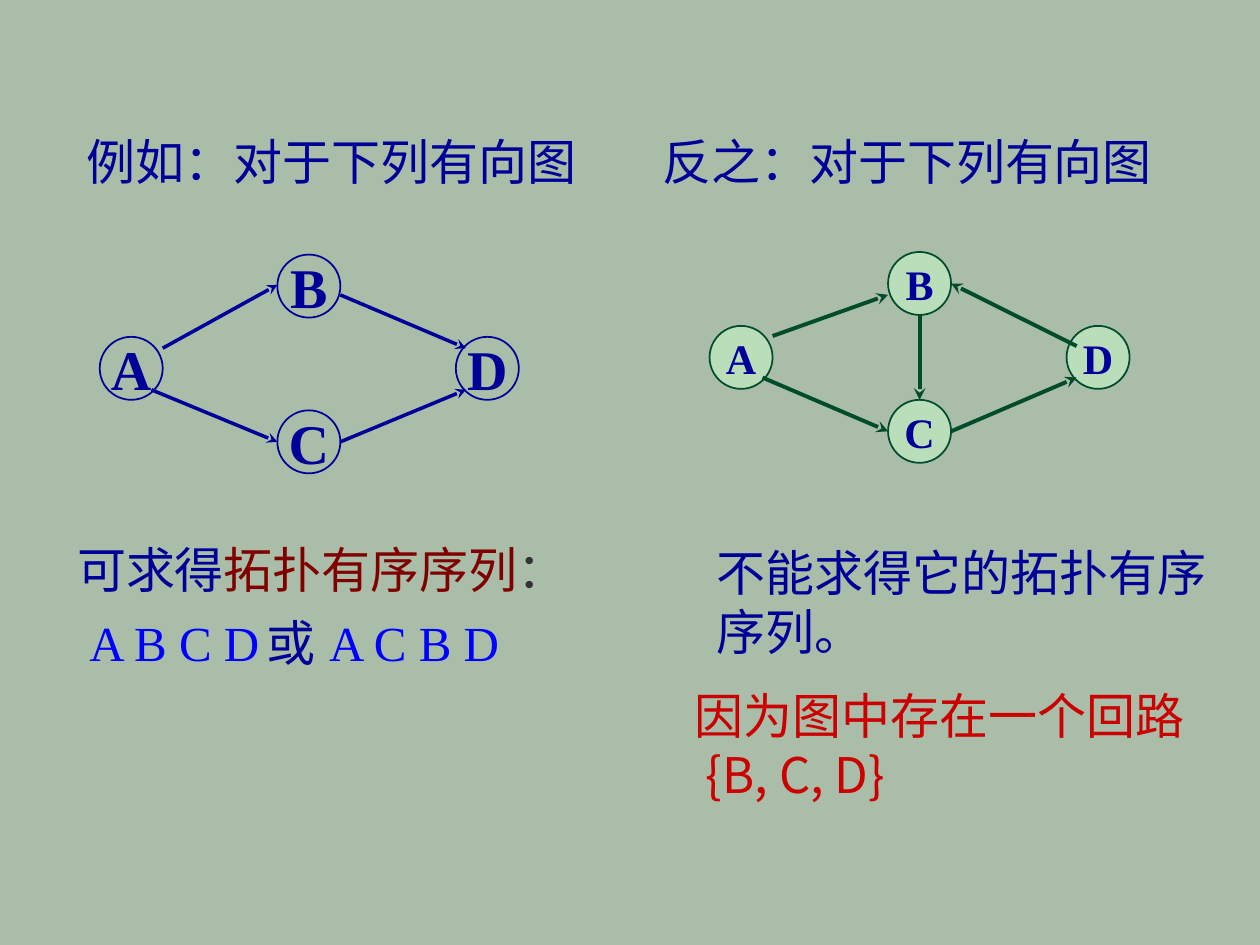
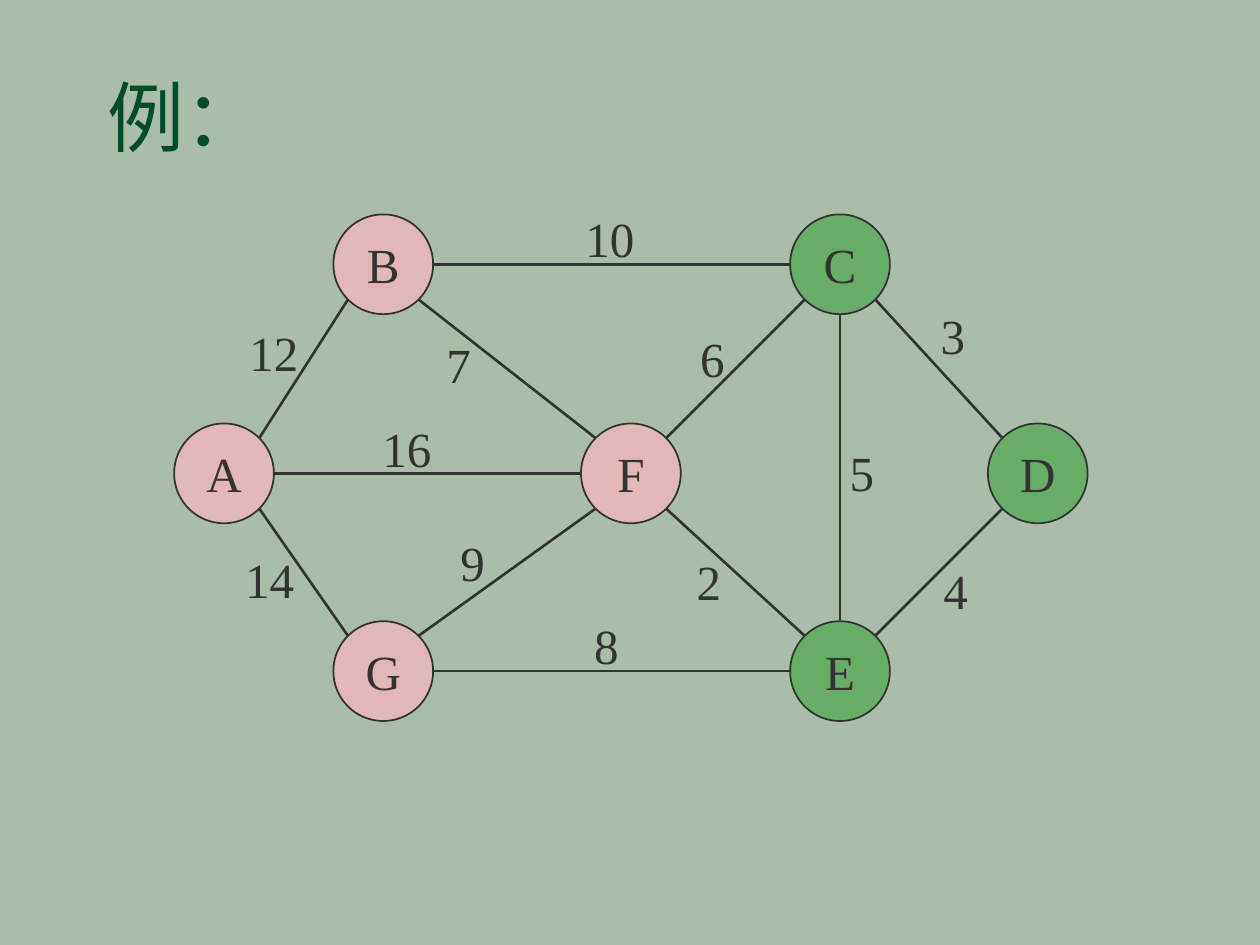
import pptx
import pptx.dml.color
import pptx.enum.shapes
import pptx.enum.text
import pptx.oxml
import pptx.oxml.ns
import pptx.util

Pt = pptx.util.Pt
RGBColor = pptx.dml.color.RGBColor
Align = pptx.enum.text.PP_ALIGN
Anchor = pptx.enum.text.MSO_ANCHOR
qn = pptx.oxml.ns.qn

# Shared look
SAGE = RGBColor(0xA9, 0xBD, 0xA9)
NAVY = RGBColor(0x00, 0x00, 0x99)
BLUE = RGBColor(0x00, 0x00, 0xFF)
MAROON = RGBColor(0x80, 0x00, 0x00)
RED = RGBColor(0xCC, 0x00, 0x00)
CHARCOAL = RGBColor(0x33, 0x33, 0x33)
FOREST = RGBColor(0x00, 0x4C, 0x2B)
MINT = RGBColor(0xCC, 0xFF, 0xCC)
PINK = RGBColor(0xE1, 0xB7, 0xB7)
GREEN = RGBColor(0x67, 0xAC, 0x67)
SERIF = "Times New Roman"
SANS = "Noto Sans CJK SC"


def add_xml(parent, tag, **attributes):
    child = parent.makeelement(qn(tag), attributes)
    parent.append(child)
    return child


def style_run(run, size, color, font=SERIF, bold=False):
    run.font.size = Pt(size)
    run.font.color.rgb = color
    run.font.bold = bold
    run.font.name = font
    add_xml(run._r.get_or_add_rPr(), "a:ea", typeface=SANS)


def add_text(slide, left, top, width, height, lines, wrap=False, font=SERIF,
             align=Align.LEFT, space_before=0, indent=0, tabs=()):
    """Each line is a list of (text, color); indent and tabs suit the last line."""
    frame = slide.shapes.add_textbox(Pt(left), Pt(top), Pt(width), Pt(height)).text_frame
    frame.word_wrap = wrap
    for number, line in enumerate(lines):
        paragraph = frame.paragraphs[0] if number == 0 else frame.add_paragraph()
        paragraph.alignment = align
        if number:
            paragraph.space_before = Pt(space_before)
            properties = paragraph._p.get_or_add_pPr()
            properties.set("indent", str(Pt(indent)))
            if tabs:
                tab_list = add_xml(properties, "a:tabLst")
                for stop in tabs:
                    add_xml(tab_list, "a:tab", pos=str(Pt(stop)), algn="l")
        for text, color in line:
            run = paragraph.add_run()
            run.text = text
            style_run(run, 28, color, font)


def add_node(slide, name, left, top, size, line_color, fill=None, alpha=None,
             text_size=28, text_color=CHARCOAL, bold=False):
    node = slide.shapes.add_shape(pptx.enum.shapes.MSO_SHAPE.OVAL,
                                  Pt(left), Pt(top), Pt(size), Pt(size))
    node.shadow.inherit = False
    if fill is None:
        node.fill.background()
    else:
        node.fill.solid()
        node.fill.fore_color.rgb = fill
        if alpha:
            add_xml(node._element.spPr.find(".//" + qn("a:srgbClr")), "a:alpha",
                    val=str(alpha * 1000))
    node.line.color.rgb = line_color
    node.line.width = Pt(1)
    frame = node.text_frame
    frame.text = name
    frame.word_wrap = False
    frame.vertical_anchor = Anchor.MIDDLE
    frame.paragraphs[0].alignment = Align.CENTER
    style_run(frame.paragraphs[0].runs[0], text_size, text_color, bold=bold)


def add_edge(slide, start, end, color, width, arrow=False):
    edge = slide.shapes.add_connector(pptx.enum.shapes.MSO_CONNECTOR.STRAIGHT,
                                      *(Pt(value) for value in (*start, *end)))
    edge.line.color.rgb = color
    edge.line.width = Pt(width)
    if arrow:
        add_xml(edge.line._get_or_add_ln(), "a:tailEnd", type="stealth")
    add_xml(edge._element.spPr, "a:effectLst")


# Directed graph: edges join fractional points of the node boxes
def draw_digraph(slide, left, top, nodes, edges, edge_color, edge_width, **node_style):
    size = 36
    for name, (x, y) in nodes.items():
        add_node(slide, name, left + x, top + y, size, edge_color,
                 text_color=NAVY, bold=True, **node_style)

    def point(name, across, down):
        x, y = nodes[name]
        return left + x + across * size, top + y + down * size

    for start, end in edges:
        add_edge(slide, point(*start), point(*end), edge_color, edge_width, arrow=True)


def draw_acyclic_side(slide, left):
    add_text(slide, left + 5.5, 71.5, 294.5, 41, [[("例如：对于下列有向图", NAVY)]])
    draw_digraph(
        slide, left + 20, 145.5,
        {"B": (101.5, 0), "D": (203.5, 47), "A": (0, 47), "C": (101.5, 89)},
        [(("A", 1, 0.18), ("B", 0, 0.48)), (("A", 0.82, 0.84), ("C", 0, 0.5)),
         (("B", 1, 0.64), ("D", 0.16, 0.18)), (("C", 1, 0.5), ("D", 0.16, 0.84))],
        NAVY, 2, text_size=32)
    add_text(slide, left, 304.5, 328, 85,
             [[("可求得", NAVY), ("拓扑有序序列", MAROON), ("：", CHARCOAL)],
              [("A B C D\t", BLUE), ("或\t", NAVY), ("A C B D", BLUE)]],
             wrap=True, space_before=8.4, indent=7, tabs=(138.5, 199))


def draw_cyclic_side(slide, left):
    add_text(slide, left, 71.5, 294.5, 41, [[("反之：对于下列有向图", NAVY)]])
    draw_digraph(
        slide, left + 34, 144,
        {"B": (102, 0), "D": (204, 42.25), "A": (0, 42.25), "C": (102, 84.5)},
        [(("A", 1, 0.16), ("B", 0, 0.68)), (("A", 0.84, 0.82), ("C", 0, 0.5)),
         (("C", 1, 0.5), ("D", 0.16, 0.82)), (("D", 0.16, 0.32), ("B", 1, 0.5)),
         (("B", 0.5, 1), ("C", 0.5, 0))],
        FOREST, 2.25, text_size=24, fill=MINT, alpha=50)
    add_text(slide, left + 31, 306.5, 294.5, 74,
             [[("不能求得它的拓扑有序", NAVY)], [("序列。", NAVY)]])
    add_text(slide, left + 18.5, 388, 294.5, 74,
             [[("因为图中存在一个回路", RED)], [("{B, C, D}", RED)]],
             font=SANS, indent=6.25)


# Weighted graph: edges leave a circle at its sides or its diagonals
def draw_weighted_graph(slide, left, top):
    size = 57
    nodes = {"B": (91, 0, PINK), "C": (352, 0, GREEN), "A": (0, 119.5, PINK),
             "F": (232.5, 119.5, PINK), "D": (465, 119.5, GREEN),
             "G": (91, 232.5, PINK), "E": (352, 232.5, GREEN)}
    # Each weight has the left and top of its label
    weights = [("B", "C", "10", 209.5, -7), ("C", "D", "3", 405.5, 48.5),
               ("C", "E", "5", 353.5, 127), ("D", "E", "4", 407, 194),
               ("F", "E", "2", 266, 189), ("F", "C", "6", 268, 61.5),
               ("F", "B", "7", 123, 65), ("F", "A", "16", 93.5, 113),
               ("B", "A", "12", 17.5, 58.5), ("A", "G", "14", 15, 188),
               ("G", "E", "8", 207.5, 225.5), ("G", "F", "9", 131, 178.5)]
    for name, (x, y, fill) in nodes.items():
        add_node(slide, name, left + x, top + y, size, CHARCOAL, fill)

    def rim(name, other):
        x, y = nodes[name][:2]
        toward_x, toward_y = nodes[other][0] - x, nodes[other][1] - y
        reach = size / 2 * (0.707 if toward_x and toward_y else 1)
        step_x = (toward_x > 0) - (toward_x < 0)
        step_y = (toward_y > 0) - (toward_y < 0)
        return left + x + size / 2 + step_x * reach, top + y + size / 2 + step_y * reach

    for start, end, *_ in weights:
        add_edge(slide, rim(start, end), rim(end, start), CHARCOAL, 1.5)
    for _, _, weight, x, y in weights:
        add_text(slide, left + x, top + y, 79, 41, [[(weight, CHARCOAL)]],
                 wrap=True, align=Align.CENTER)


def draw_title(slide, text):
    title = slide.shapes.title
    title.left, title.top, title.width, title.height = Pt(54), Pt(36), Pt(612), Pt(35.5)
    frame = title.text_frame
    frame.text = text
    frame.vertical_anchor = Anchor.TOP
    frame.auto_size = pptx.enum.text.MSO_AUTO_SIZE.NONE
    frame.paragraphs[0].alignment = Align.LEFT
    style_run(frame.paragraphs[0].runs[0], 44, FOREST)


def main():
    deck = pptx.Presentation()
    deck.slide_width, deck.slide_height = Pt(720), Pt(540)
    background = deck.slide_master.background.fill
    background.solid()
    background.fore_color.rgb = SAGE

    # Topological order: possible and impossible
    topological = deck.slides.add_slide(deck.slide_layouts[6])
    draw_acyclic_side(topological, 37)
    draw_cyclic_side(topological, 371.5)

    # Weighted graph example
    weighted = deck.slides.add_slide(deck.slide_layouts[5])
    draw_title(weighted, "例：")
    draw_weighted_graph(weighted, 99.5, 122.5)

    deck.save("out.pptx")


if __name__ == "__main__":
    main()
